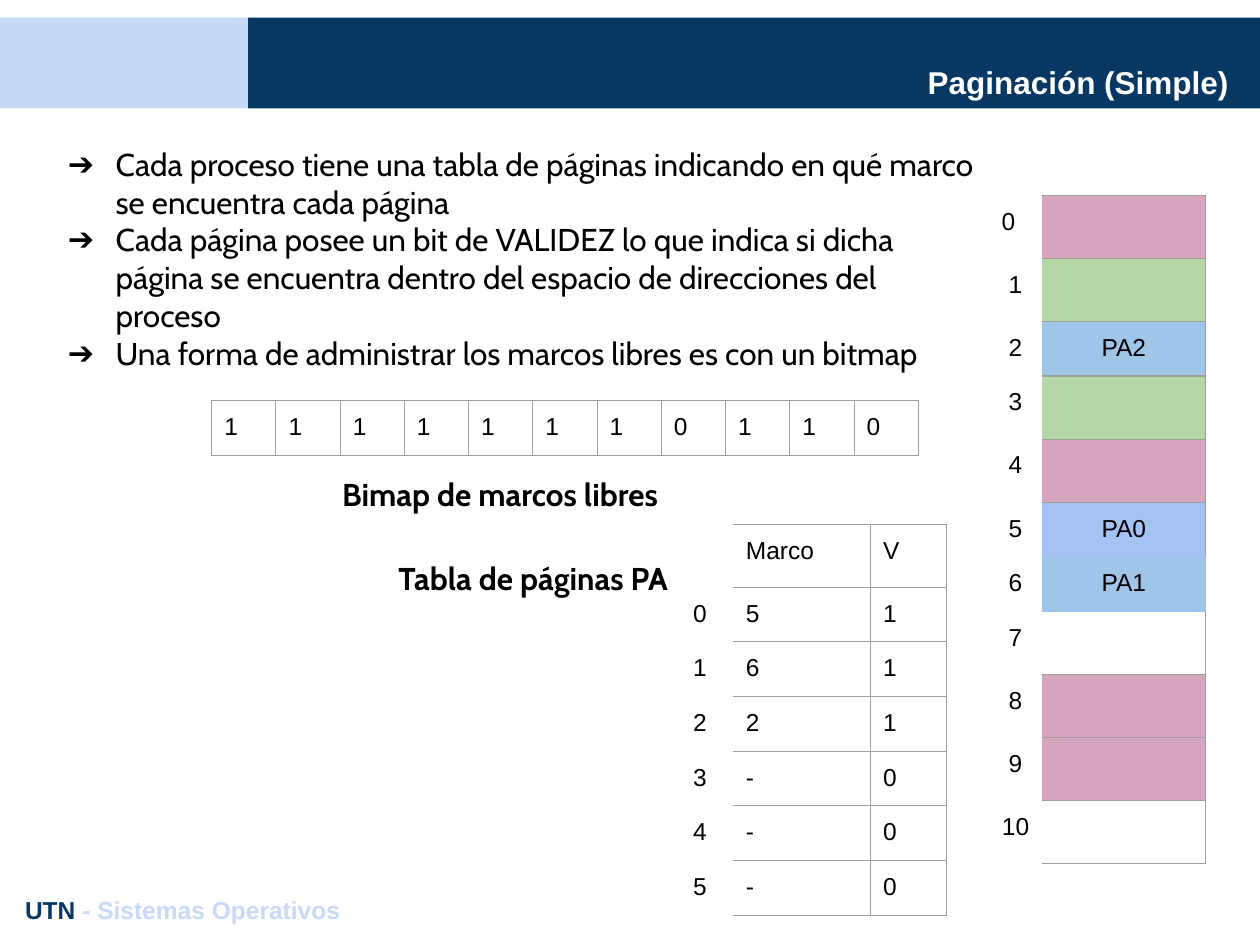
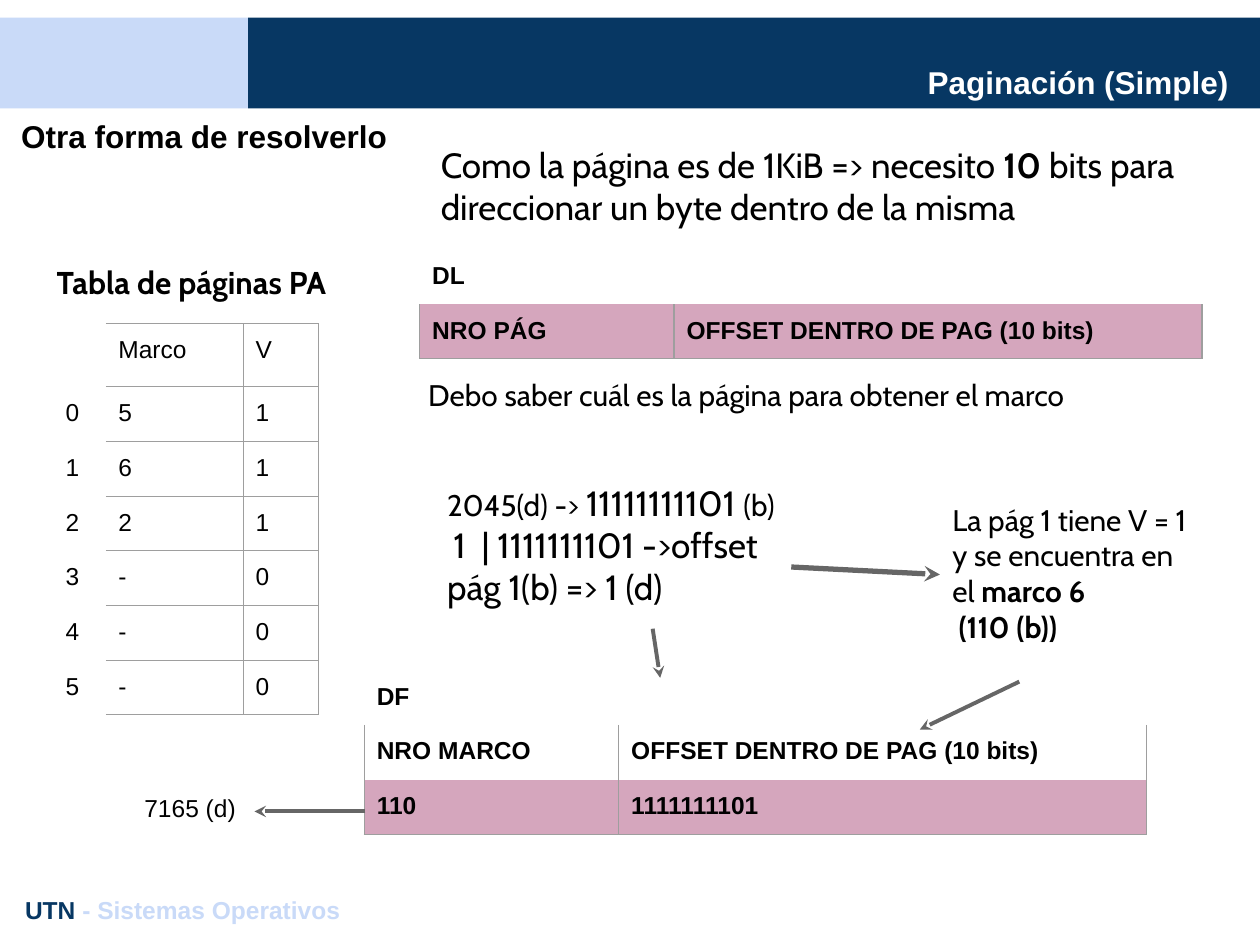
from lxml.etree import SubElement
from pptx import Presentation
from pptx.dml.color import RGBColor
from pptx.enum.shapes import MSO_CONNECTOR as Connector, MSO_SHAPE as Shape
from pptx.enum.text import MSO_ANCHOR as Anchor, PP_ALIGN as Align
from pptx.oxml.ns import qn
from pptx.util import Inches, Pt

# Shared look
WIDTH, HEIGHT = 10, 7.5
NAVY, PALE, BLACK, WHITE = "073763", "C9DAF8", "000000", "FFFFFF"
PINK, GREEN, SKY, BLUE = "D5A6BD", "B6D7A8", "9FC5E8", "A4C2F4"
GRID, ARROW = "9E9E9E", "666666"
INSET = 0.1
BAND_TOP, BAND_HEIGHT, BAND_SPLIT = 0.14, 0.72, 1.97
ROW, WIDE_ROW = 0.42, 0.43
LABEL_COL = 0.42

BODY = {"name": "Cabin", "size": 18, "color": BLACK, "bold": False}
HEADING = BODY | {"bold": True}
SMALL = BODY | {"size": 17}
LARGE = BODY | {"size": 20}
CELL = {"name": "Arial", "size": 14, "color": BLACK, "bold": False}
CELL_BOLD = CELL | {"bold": True}
TITLE = {"name": "Arial", "size": 18, "color": WHITE, "bold": True}
SUBTITLE = TITLE | {"color": BLACK}
NO_GRID_STYLE = "{2D5ABB26-0587-4C30-8999-92F81FD0307C}"

# Content
DECK_TITLE = "Paginación (Simple)"
FOOTER = [("UTN ", CELL_BOLD | {"color": NAVY}),
          ("- Sistemas Operativos", CELL_BOLD | {"color": PALE})]
PAGE_TABLE_HEADING = "Tabla de páginas PA"
BITMAP_HEADING = "Bimap de marcos libres"

POINTS = [
    "Cada proceso tiene una tabla de páginas indicando en qué marco se encuentra cada página",
    "Cada página posee un bit de VALIDEZ lo que indica si dicha página se encuentra "
    "dentro del espacio de direcciones del proceso",
    "Una forma de administrar los marcos libres es con un bitmap",
]
FRAMES = [("", PINK), ("", GREEN), ("PA2", SKY), ("", GREEN), ("", PINK), ("PA0", BLUE),
          ("PA1", SKY), ("", None), ("", PINK), ("", PINK), ("", None)]
BITMAP = list("11111110110")
PAGE_TABLE = [("5", "1"), ("6", "1"), ("2", "1"), ("-", "0"), ("-", "0"), ("-", "0")]

OFFSET_HEADER = "OFFSET DENTRO DE PAG (10 bits)"
LOGICAL_ADDRESS = [("DL", None), ("NRO PÁG", OFFSET_HEADER)]
PHYSICAL_ADDRESS = [("DF", None), ("NRO MARCO", OFFSET_HEADER), ("110", "1111111101")]

PAGE_SIZE_NOTE = [("Como la página es de 1KiB => necesito ", LARGE),
                  ("10 ", LARGE | {"bold": True}),
                  ("bits para direccionar un byte dentro de la misma", LARGE)]
TRANSLATION = [
    [("2045(d) -> ", SMALL), ("11111111101 ", LARGE), ("(b)", SMALL)],
    [("1  | 1111111101 ->offset", LARGE)],
    [("pág 1(b) => 1 (d)", LARGE)],
]
FRAME_FOUND = [
    [("La pág 1 tiene V = 1 y se encuentra en el ", SMALL),
     ("marco 6", SMALL | {"bold": True})],
    [("(110 (b))", SMALL | {"bold": True})],
]
# start, end, width in points
ARROWS = [((6.28, 4.5), (7.46, 4.56), 3), ((5.18, 4.99), (5.24, 5.38), 2.25),
          ((8.09, 5.41), (7.3, 5.79), 2.25), ((2.9, 6.44), (2.02, 6.44), 2.25)]


def rgb(value):
    return RGBColor.from_string(value)


def write_runs(paragraph, runs, align=Align.LEFT):
    paragraph.alignment = align
    for text, look in runs:
        run = paragraph.add_run()
        run.text = text
        for key, value in look.items():
            if key == "color":
                run.font.color.rgb = rgb(value)
            else:
                setattr(run.font, key, Pt(value) if key == "size" else value)


def set_indent(paragraph, left, first=0):
    props = paragraph._p.get_or_add_pPr()
    props.set("marL", str(Inches(left)))
    props.set("indent", str(Inches(first)))
    return props


def add_arrow_bullet(paragraph):
    props = set_indent(paragraph, 0.5, -0.38)
    color = SubElement(props, qn("a:buClr"))
    SubElement(color, qn("a:srgbClr"), val=BLACK)
    SubElement(props, qn("a:buFont"), typeface="Cabin")
    SubElement(props, qn("a:buChar"), char="➔")


def set_margins(holder):
    for side in ("left", "right", "top", "bottom"):
        setattr(holder, f"margin_{side}", Inches(INSET))


def add_text(slide, box, paragraphs, align=Align.LEFT, anchor=Anchor.TOP,
             bulleted=False, indents=None):
    frame = slide.shapes.add_textbox(*map(Inches, box)).text_frame
    frame.word_wrap = True
    frame.vertical_anchor = anchor
    set_margins(frame)
    for index, runs in enumerate(paragraphs):
        paragraph = frame.paragraphs[0] if index == 0 else frame.add_paragraph()
        if bulleted:
            add_arrow_bullet(paragraph)
        if indents and index in indents:
            set_indent(paragraph, indents[index])
        write_runs(paragraph, runs, align)


def set_borders(cell, colors):
    """colors maps a side letter (L, R, T, B) to its colour; other sides stay clear."""
    props = cell._tc.get_or_add_tcPr()
    for side in "LRTB":
        line = SubElement(props, qn(f"a:ln{side}"), w=str(Pt(0.75)))
        if side in colors:
            fill = SubElement(line, qn("a:solidFill"))
            SubElement(fill, qn("a:srgbClr"), val=colors[side])
        else:
            SubElement(line, qn("a:noFill"))


def add_grid(slide, left, top, columns, row_height, rows, sides, fills=None,
             aligns=None, edges=None, look=CELL):
    """sides(row, column) gives the drawn borders; edges recolours some of them."""
    fills, aligns, edges = fills or {}, aligns or {}, edges or {}
    box = (left, top, sum(columns), row_height * len(rows))
    table = slide.shapes.add_table(len(rows), len(columns), *map(Inches, box)).table
    table._tbl.tblPr.find(qn("a:tableStyleId")).text = NO_GRID_STYLE
    table.first_row = table.horz_banding = False
    for column, width in zip(table.columns, columns):
        column.width = Inches(width)
    for r, texts in enumerate(rows):
        table.rows[r].height = Inches(row_height)
        for c, text in enumerate(texts):
            cell = table.cell(r, c)
            set_margins(cell)
            set_borders(cell, {s: edges.get((r, c, s), GRID) for s in sides(r, c)})
            if (r, c) in fills:
                cell.fill.solid()
                cell.fill.fore_color.rgb = rgb(fills[r, c])
            else:
                cell.fill.background()
            paragraph = cell.text_frame.paragraphs[0]
            if text:
                write_runs(paragraph, [(text, look)], aligns.get((r, c), Align.LEFT))
            else:
                # Empty cells keep 18 pt, which makes their rows taller
                end = SubElement(paragraph._p, qn("a:endParaRPr"), sz="1800")
                SubElement(end, qn("a:latin"), typeface="Arial")
        if None in texts:
            table.cell(r, 0).merge(table.cell(r, len(columns) - 1))


def add_page_table(slide, left, top):
    rows = [("", "Marco", "V")]
    rows += [(str(page), *entry) for page, entry in enumerate(PAGE_TABLE)]
    add_grid(slide, left, top, [LABEL_COL, 1.09, 0.6], ROW, rows,
             lambda r, c: ("", "RTB", "LRTB")[c])


def add_frames(slide, left, top):
    rows = [(str(number), owner) for number, (owner, _) in enumerate(FRAMES)]
    fills = {(r, 1): color for r, (_, color) in enumerate(FRAMES) if color}
    aligns = {(r, c): Align.CENTER for r in range(len(rows)) for c in range(2)}
    aligns[0, 0] = Align.LEFT
    last_page = [owner for owner, _ in FRAMES].index("PA1")
    edges = {(last_page, 1, side): SKY for side in "RTB"}
    edges |= {(last_page - 1, 1, "B"): SKY, (last_page + 1, 1, "T"): SKY}
    add_grid(slide, left, top, [LABEL_COL, 1.3], ROW, rows,
             lambda r, c: ("", "RTB")[c], fills, aligns, edges)


def add_address(slide, left, top, rows):
    last = len(rows) - 1

    def sides(r, c):
        return "" if r == 0 else "LRB" if r == last else "LR"

    add_grid(slide, left, top, [2.02, 4.19], WIDE_ROW, rows, sides,
             {(last, c): PINK for c in range(2)}, look=CELL_BOLD)


def add_arrow(slide, start, end, width):
    arrow = slide.shapes.add_connector(Connector.STRAIGHT, *map(Inches, start + end))
    arrow.line.color.rgb = rgb(ARROW)
    arrow.line.width = Pt(width)
    SubElement(arrow.line._get_or_add_ln(), qn("a:tailEnd"), type="stealth")
    SubElement(arrow._element.spPr, qn("a:effectLst"))


def new_slide(deck):
    slide = deck.slides.add_slide(deck.slide_layouts[6])
    for left, right, color in [(0, BAND_SPLIT, PALE), (BAND_SPLIT, WIDTH, NAVY)]:
        band = slide.shapes.add_shape(Shape.RECTANGLE, *map(
            Inches, (left, BAND_TOP, right - left, BAND_HEIGHT)))
        band.shadow.inherit = False
        band.fill.solid()
        band.fill.fore_color.rgb = rgb(color)
        band.line.fill.background()
    add_text(slide, (1.35, 0.4, 8.5, 0.5), [[(DECK_TITLE, TITLE)]],
             Align.RIGHT, Anchor.BOTTOM)
    add_text(slide, (0.1, 7, 9.81, 0.44), [FOOTER])
    return slide


def build_frames_slide(deck):
    slide = new_slide(deck)
    add_frames(slide, 7.85, 1.55)
    add_text(slide, (0.32, 1.05, 7.53, 2.23), [[(point, BODY)] for point in POINTS],
             bulleted=True)
    add_page_table(slide, 5.4, 4.16)
    add_text(slide, (0.6, 4.34, 4.8, 0.44), [[(PAGE_TABLE_HEADING, HEADING)]], Align.RIGHT)
    add_grid(slide, 1.68, 3.18, [0.51] * len(BITMAP), WIDE_ROW, [BITMAP],
             lambda r, c: "LRTB")
    add_text(slide, (0.52, 3.67, 4.8, 0.44), [[(BITMAP_HEADING, HEADING)]], Align.RIGHT)


def build_translation_slide(deck):
    slide = new_slide(deck)
    add_text(slide, (0.07, 0.83, 3.28, 0.83), [[("Otra forma de resolverlo", SUBTITLE)]])
    add_page_table(slide, 0.42, 2.57)
    add_text(slide, (0, 1.99, 3.04, 0.44), [[(PAGE_TABLE_HEADING, HEADING)]], Align.CENTER)
    add_address(slide, 3.33, 1.98, LOGICAL_ADDRESS)
    add_text(slide, (3.4, 1.04, 6.03, 1.14), [PAGE_SIZE_NOTE])
    add_text(slide, (3.3, 2.89, 6.26, 0.83),
             [[("Debo saber cuál es la página para obtener el marco", SMALL)]])
    add_text(slide, (3.45, 3.72, 3.46, 1.27), TRANSLATION, indents={1: 0.05})
    add_text(slide, (7.46, 3.88, 2.11, 1.35), FRAME_FOUND, indents={1: 0.05})
    add_address(slide, 2.89, 5.32, PHYSICAL_ADDRESS)
    for arrow in ARROWS:
        add_arrow(slide, *arrow)
    add_text(slide, (0.59, 6.19, 1.38, 0.5), [[("7165 (d)", CELL)]], Align.RIGHT)


def main():
    deck = Presentation()
    deck.slide_width, deck.slide_height = Inches(WIDTH), Inches(HEIGHT)
    build_frames_slide(deck)
    build_translation_slide(deck)
    deck.save("out.pptx")


if __name__ == "__main__":
    main()
